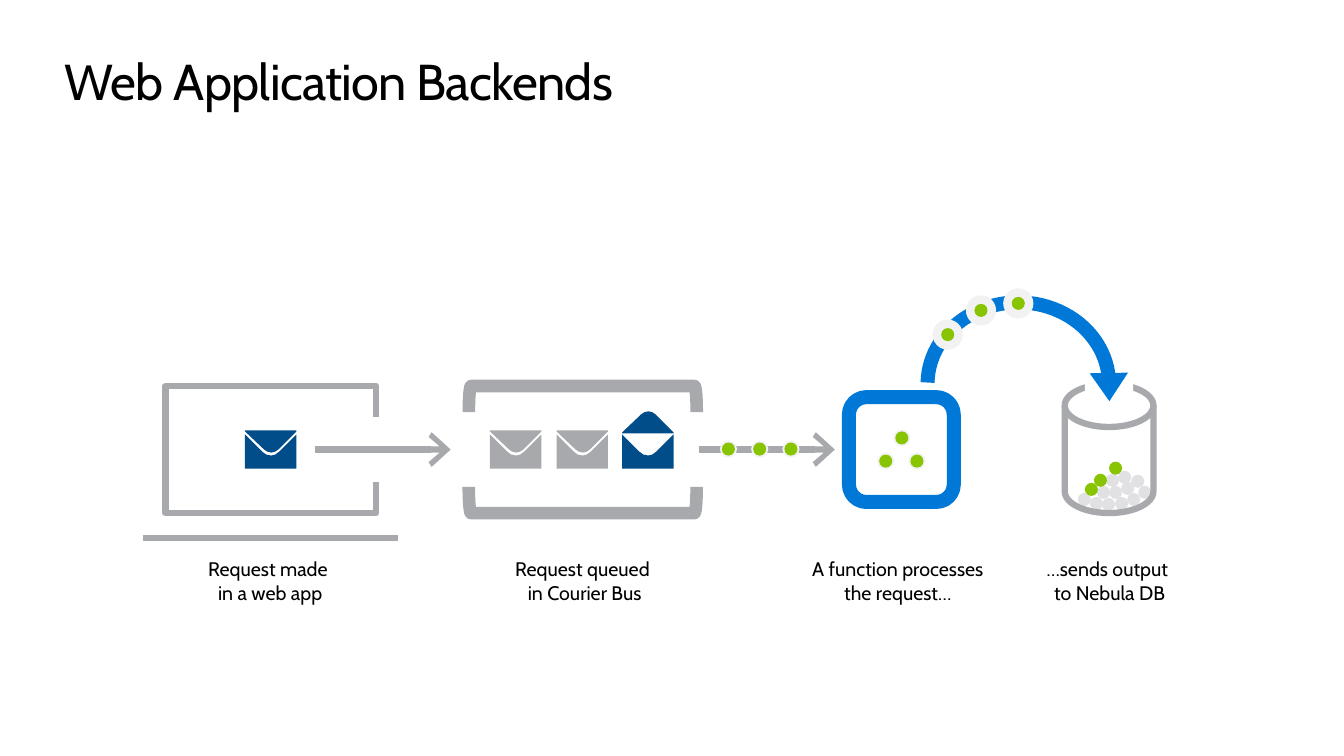
from lxml import etree
from pptx import Presentation
from pptx import util as u
from pptx.dml import color
from pptx.enum import shapes, text
from pptx.oxml import ns

GRID = u.Inches(1)
GREY, NAVY, BLUE = "A8A9AD", "004D8A", "0078D7"
GREEN, HALO, PALE, WHITE, BLACK = "89C402", "F2F2F2", "E1E1E3", "FFFFFF", "000000"
DOT = 0.13
KIND = shapes.MSO_SHAPE


def rgb(value):
    return color.RGBColor.from_string(value)


def paint(part, fill=None, line=None, width=0):
    part.shadow.inherit = False
    if fill:
        part.fill.solid()
        part.fill.fore_color.rgb = rgb(fill)
    else:
        part.fill.background()
    if line:
        part.line.color.rgb = rgb(line)
        part.line.width = u.Pt(width)
    else:
        part.line.fill.background()


deck = Presentation()
deck.slide_width, deck.slide_height = round(13.33 * GRID), round(7.5 * GRID)
slide = deck.slides.add_slide(deck.slide_layouts[5])
canvas = slide.shapes

heading = canvas.title
captions = [
    ("Request made \vin a web app", 1.71, 1.94),
    ("Request queued \vin Courier Bus", 4.87, 1.86),
    ("A function processes the request…", 7.86, 2.09),
    ("…sends output \vto Nebula DB", 10.08, 1.85),
]
labels = [(heading, "Web Application Backends", (0.64, 0.49, 12.05, 0.61), 36, text.PP_ALIGN.LEFT)]
for words, left, width in captions:
    caption = canvas.add_textbox(0, 0, GRID, GRID)
    labels.append((caption, words, (left, 5.48, width, 0.57), 14, text.PP_ALIGN.CENTER))

for label, words, box, size, align in labels:
    for name, value in zip(("left", "top", "width", "height"), box):
        setattr(label, name, round(value * GRID))
    frame = label.text_frame
    frame.word_wrap = True
    frame.auto_size = text.MSO_AUTO_SIZE.SHAPE_TO_FIT_TEXT
    line = frame.paragraphs[0]
    line.text = words
    line.alignment = align
    for run in line.runs:
        for name, value in {"name": "Cabin", "size": u.Pt(size)}.items():
            setattr(run.font, name, value)
        run.font.color.rgb = rgb(BLACK)

for side in ("left", "top", "right", "bottom"):
    setattr(heading.text_frame, f"margin_{side}", 0)
heading.text_frame.paragraphs[0].runs[0].font._element.set("spc", "-50")

for start, end, y, pointed in [(1.42, 3.95, 5.34, False), (3.12, 4.47, 4.46, True), (6.93, 8.28, 4.46, True)]:
    route = canvas.add_connector(shapes.MSO_CONNECTOR.STRAIGHT, *(round(v * GRID) for v in (start, y, end, y)))
    route.line.color.rgb = rgb(GREY)
    route.line.width = u.Pt(4.5)
    if pointed:
        etree.SubElement(route.line._get_or_add_ln(), ns.qn("a:tailEnd"), type="arrow", w="lg", len="med")
    etree.SubElement(route._element.spPr, ns.qn("a:effectLst"))

screen = [(3.73, 4.78), (3.73, 5.09), (1.64, 5.09), (1.64, 3.83), (3.73, 3.83), (3.73, 4.14)]
pocket = [(0.34, 0.21), (0.3, 0.24), (0.26, 0.25), (0.21, 0.24), (0.17, 0.21),
          (0, 0.04), (0, 0.38), (0.51, 0.38), (0.51, 0.04)]
flap = [(0.33, 0.19), (0.51, 0.01), (0.51, 0), (0, 0), (0, 0.01),
        (0.19, 0.19), (0.22, 0.21), (0.26, 0.22), (0.3, 0.21)]
outlines = [(screen, 0, 0, 1, None)]
for left, fill, flap_top, turn in [(2.43, NAVY, 4.27, 1), (4.86, GREY, 4.27, 1),
                                   (5.52, GREY, 4.27, 1), (6.17, NAVY, 4.3, -1)]:
    outlines += [(pocket, left, 4.27, 1, fill), (flap, left, flap_top, turn, fill)]

for outline, left, top, turn, fill in outlines:
    corners = [(round((left + x) * GRID), round((top + turn * y) * GRID)) for x, y in outline]
    builder = canvas.build_freeform(*corners[0])
    builder.add_line_segments(corners[1:], close=bool(fill))
    paint(builder.convert_to_shape(), fill, None if fill else GREY, 4.5)

halos = [(x, y, 0.17) for x, y in [(8.86, 4.26), (8.7, 4.49), (9.01, 4.49)]]
halos += [(7.14 + 0.31 * i, 4.37, 0.17) for i in range(3)]
halos += [(9.25, 3.17, 0.3), (9.58, 2.93, 0.3), (9.95, 2.86, 0.3)]
stored = [(10.93, 4.94), (11.29, 4.82), (11.18, 4.89), (11.06, 4.93), (10.69, 4.89), (10.81, 4.93),
          (11.12, 4.78), (10.88, 4.82), (11, 4.82), (11.22, 4.71), (10.97, 4.7), (11.09, 4.67)]
arrived = [(10.76, 4.79), (11, 4.58), (10.85, 4.7)]

parts = [
    (KIND.LEFT_BRACKET, (5.65, 2.83, 0.26, 2.26), 90, None, GREY, 9),
    (KIND.LEFT_BRACKET, (5.65, 3.83, 0.26, 2.26), 270, None, GREY, 9),
    (KIND.ROUNDED_RECTANGLE, (8.42, 3.94, 1.04, 1.04), 0, None, BLUE, 10),
]
for spots, fill in [(stored, PALE), (arrived, GREEN)]:
    parts += [(KIND.OVAL, (x, y, DOT, DOT), 0, fill, None, 0) for x, y in spots]
parts += [
    (KIND.FLOWCHART_MAGNETIC_DISK, (10.56, 3.81, 0.88, 1.28), 0, None, GREY, 4.5),
    (KIND.RECTANGLE, (10.76, 3.63, 0.48, 0.32), 0, WHITE, None, 0),
    (KIND.ARC, (9.2, 3, 1.8, 1.62), 0, None, BLUE, 10),
    (KIND.ISOSCELES_TRIANGLE, (10.81, 3.7, 0.38, 0.28), 179, BLUE, None, 0),
]
for x, y, size in halos:
    inset = (size - DOT) / 2
    parts.append((KIND.OVAL, (x, y, size, size), 0, HALO, None, 0))
    parts.append((KIND.OVAL, (x + inset, y + inset, DOT, DOT), 0, GREEN, None, 0))

for kind, box, angle, fill, stroke, width in parts:
    part = canvas.add_shape(kind, *(round(v * GRID) for v in box))
    part.rotation = angle
    paint(part, fill, stroke, width)
    if kind == KIND.ARC:
        part.adjustments[0], part.adjustments[1] = 108.57, 215.46

deck.save("out.pptx")
